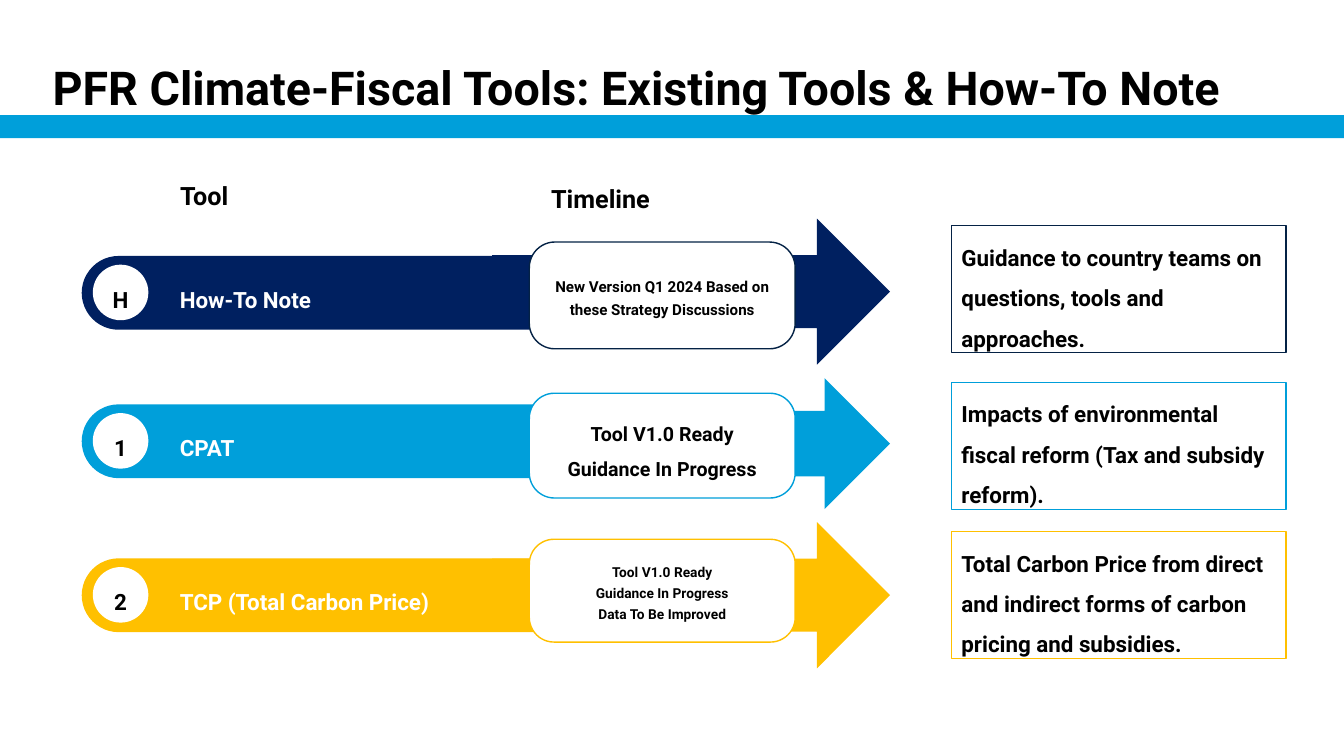
import pptx
import pptx.dml.color
import pptx.enum.shapes
import pptx.enum.text
import pptx.util

RGBColor = pptx.dml.color.RGBColor
Cm = pptx.util.Cm
Pt = pptx.util.Pt
SHAPE = pptx.enum.shapes.MSO_SHAPE
ALIGN = pptx.enum.text.PP_ALIGN
ANCHOR = pptx.enum.text.MSO_ANCHOR

BLACK = RGBColor(0, 0, 0)
WHITE = RGBColor(255, 255, 255)
NAVY = RGBColor(0x00, 0x20, 0x60)
DARK_NAVY = RGBColor(0x04, 0x22, 0x45)
BLUE = RGBColor(0x00, 0x9F, 0xDA)
GOLD = RGBColor(0xFF, 0xC0, 0x00)

ROWS = [
    dict(fill=NAVY, line=DARK_NAVY, marker="H", name="How-To Note",
         bar_top=6.45, arrow=(5.51, 3.68), card=(6.1, 2.69), note_top=5.69,
         status=["New Version Q1 2024 Based on these Strategy Discussions"],
         status_size=10.8, status_spacing=1.3,
         note="Guidance to country teams on questions, tools and approaches."),
    dict(fill=BLUE, line=BLUE, marker="1", name="CPAT",
         bar_top=10.19, arrow=(9.53, 3.3), card=(9.91, 2.64), note_top=9.63,
         status=["Tool V1.0 Ready", "Guidance In Progress"],
         status_size=14, status_spacing=1.5,
         note="Impacts of environmental fiscal reform (Tax and subsidy reform)."),
    dict(fill=GOLD, line=GOLD, marker="2", name="TCP (Total Carbon Price)",
         bar_top=14.07, arrow=(13.16, 3.68), card=(13.59, 2.59), note_top=13.39,
         status=["Tool V1.0 Ready", "Guidance In Progress", "Data To Be Improved"],
         status_size=9.8, status_spacing=1.3,
         note="Total Carbon Price from direct and indirect forms of carbon "
              "pricing and subsidies."),
]


class ToolSlide:
    font_name = "Roboto"

    def __init__(self, presentation):
        self.slide = presentation.slides.add_slide(presentation.slide_layouts[5])

    def fill_text(self, shape, lines, size, color=BLACK, spacing=1.5,
                  align=ALIGN.LEFT, anchor=ANCHOR.TOP):
        frame = shape.text_frame
        frame.word_wrap = True
        frame.auto_size = pptx.enum.text.MSO_AUTO_SIZE.NONE
        frame.vertical_anchor = anchor
        frame.text = "\n".join(lines)
        for paragraph in frame.paragraphs:
            paragraph.alignment = align
            paragraph.line_spacing = spacing
            paragraph.space_before = Pt(0)
            paragraph.font.name = self.font_name
            paragraph.font.size = Pt(size)
            paragraph.font.bold = True
            paragraph.font.color.rgb = color

    def title(self, text):
        title = self.slide.shapes.title
        title.left, title.top = Cm(1.07), Cm(1.32)
        title.width, title.height = Cm(31.7), Cm(1.6)
        self.fill_text(title, [text], 33.3, spacing=0.9, anchor=ANCHOR.BOTTOM)
        title.text_frame.margin_bottom = 0

    def shape(self, kind, left, top, width, height, fill=None, line=None, line_width=1):
        shape = self.slide.shapes.add_shape(
            kind, Cm(left), Cm(top), Cm(width), Cm(height))
        shape.shadow.inherit = False
        if fill is None:
            shape.fill.background()
        else:
            shape.fill.solid()
            shape.fill.fore_color.rgb = fill
        if line is None:
            shape.line.fill.background()
        else:
            shape.line.color.rgb = line
            shape.line.width = Pt(line_width)
        return shape

    def heading(self, text, left, top):
        box = self.slide.shapes.add_textbox(Cm(left), Cm(top), Cm(5.1), Cm(1.38))
        self.fill_text(box, [text], 18)

    def bar(self, text, top, fill):
        bar = self.shape(SHAPE.ROUNDED_RECTANGLE, 2.06, top, 15.34, 1.86, fill)
        bar.adjustments[0] = 0.5
        self.fill_text(bar, [text], 16, WHITE, anchor=ANCHOR.MIDDLE)
        frame = bar.text_frame
        frame.margin_left = Cm(2.2)
        frame.margin_top = frame.margin_bottom = 0

    def marker(self, text, top):
        circle = self.shape(SHAPE.OVAL, 2.34, top, 1.4, 1.4, WHITE)
        self.fill_text(circle, [text], 16, align=ALIGN.CENTER, anchor=ANCHOR.MIDDLE)
        frame = circle.text_frame
        frame.margin_left = frame.margin_right = 0
        frame.margin_top = frame.margin_bottom = 0

    def card(self, lines, top, height, line, size, spacing):
        card = self.shape(SHAPE.ROUNDED_RECTANGLE, 13.34, top, 6.7, height, WHITE, line)
        card.adjustments[0] = 0.24
        self.fill_text(card, lines, size, spacing=spacing,
                       align=ALIGN.CENTER, anchor=ANCHOR.MIDDLE)

    def note(self, text, top, line):
        note = self.shape(SHAPE.RECTANGLE, 23.98, top, 8.43, 3.2,
                          line=line, line_width=0.75)
        self.fill_text(note, [text], 16)

    def row(self, row):
        self.bar(row["name"], row["bar_top"], row["fill"])
        arrow_top, arrow_height = row["arrow"]
        self.shape(SHAPE.RIGHT_ARROW, 12.4, arrow_top, 10.03, arrow_height, row["fill"])
        self.marker(row["marker"], row["bar_top"] + 0.22)
        card_top, card_height = row["card"]
        self.card(row["status"], card_top, card_height, row["line"],
                  row["status_size"], row["status_spacing"])
        self.note(row["note"], row["note_top"], row["line"])


def main():
    presentation = pptx.Presentation()
    presentation.slide_width = Cm(33.87)
    presentation.slide_height = Cm(19.05)
    tools = ToolSlide(presentation)
    tools.shape(SHAPE.RECTANGLE, 0, 2.9, 33.87, 0.58, BLUE)
    tools.title("PFR Climate-Fiscal Tools: Existing Tools & How-To Note")
    tools.heading("Tool", 4.29, 4.04)
    tools.heading("Timeline", 13.64, 4.11)
    for row in ROWS:
        tools.row(row)
    presentation.save("out.pptx")


if __name__ == "__main__":
    main()
